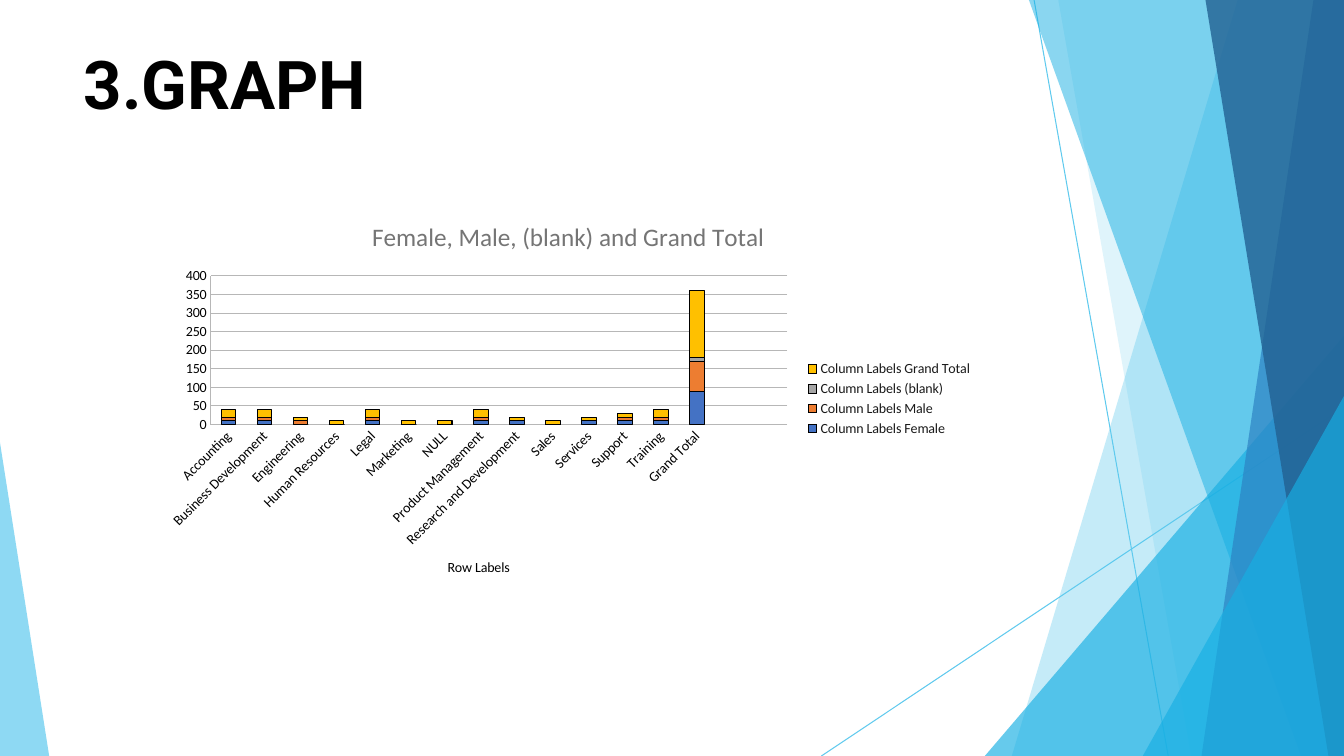
from lxml.etree import SubElement
from pptx import Presentation
from pptx.chart.data import CategoryChartData
from pptx.dml.color import RGBColor
from pptx.enum.chart import XL_CHART_TYPE as ChartType, XL_LEGEND_POSITION as LegendPosition
from pptx.enum.chart import XL_TICK_MARK as TickMark
from pptx.enum.shapes import MSO_CONNECTOR as Connector
from pptx.enum.text import MSO_ANCHOR as Anchor, PP_ALIGN as Align
from pptx.oxml.ns import qn
from pptx.util import Cm, Pt

BLACK = RGBColor(0x00, 0x00, 0x00)
CHARCOAL = RGBColor(0x1A, 0x1A, 0x1A)
TITLE_GREY = RGBColor(0x75, 0x75, 0x75)
GRID_GREY = RGBColor(0xB7, 0xB7, 0xB7)
SKY = RGBColor(0x5F, 0xCA, 0xEE)
CYAN = RGBColor(0x17, 0xAF, 0xE3)
BLUE = RGBColor(0x2D, 0x83, 0xC3)
NAVY = RGBColor(0x22, 0x61, 0x92)
FEMALE_BLUE = RGBColor(0x44, 0x72, 0xC4)
MALE_ORANGE = RGBColor(0xED, 0x7D, 0x31)
BLANK_GREY = RGBColor(0xA5, 0xA5, 0xA5)
TOTAL_YELLOW = RGBColor(0xFF, 0xC0, 0x00)

WIDTH, HEIGHT = 33.87, 19.05
BOTTOM_RIGHT = (WIDTH, HEIGHT)

RAYS = [((26.06, 0), (29.44, HEIGHT)), ((WIDTH, 10.26), (20.7, HEIGHT))]

# Corner points in cm, colour, opacity in percent
FACETS = [
    ([(WIDTH, 0), (31.19, 0), (25.5, HEIGHT), BOTTOM_RIGHT], SKY, 36),
    ([(WIDTH, 0), (26.67, 0), (30.02, HEIGHT), BOTTOM_RIGHT], SKY, 20),
    ([(WIDTH, 8.46), (24.82, HEIGHT), BOTTOM_RIGHT], CYAN, 66),
    ([(WIDTH, 0), (25.93, 0), (32.79, HEIGHT), BOTTOM_RIGHT], CYAN, 50),
    ([(WIDTH, 0), (33.1, 0), (30.28, HEIGHT), BOTTOM_RIGHT], BLUE, 70),
    ([(WIDTH, 0), (30.38, 0), (33.48, HEIGHT), BOTTOM_RIGHT], NAVY, 80),
    ([(WIDTH, 9.98), (28.8, HEIGHT), BOTTOM_RIGHT], CYAN, 66),
    ([(0, 11.15), (0, HEIGHT), (1.24, HEIGHT)], SKY, 70),
]

# The last two categories are empty
DEPARTMENTS = ["Accounting", "Business Development", "Engineering", "Human Resources",
               "Legal", "Marketing", "NULL", "Product Management",
               "Research and Development", "Sales", "Services", "Support",
               "Training", "Grand Total", "", ""]
HEADCOUNTS = [
    ("Female", FEMALE_BLUE, [10, 10, 0, 0, 10, 0, 0, 10, 10, 0, 10, 10, 10, 90]),
    ("Male", MALE_ORANGE, [10, 10, 10, 0, 10, 0, 0, 10, 0, 0, 0, 10, 10, 80]),
    ("(blank)", BLANK_GREY, [0, None, None, 0, 0] + [None] * 6 + [0, 0, 10]),
    ("Grand Total", TOTAL_YELLOW,
     [20, 20, 10, 10, 20, 10, 10, 20, 10, 10, 10, 10, 20, 180]),
]


def set_font(font, color, **values):
    font.color.rgb = color
    for attribute, value in values.items():
        setattr(font, attribute, value)


def set_line(line, color, width=0.75):
    line.color.rgb = color
    line.width = Pt(width)


def add_ray(slide, start, end):
    ray = slide.shapes.add_connector(Connector.STRAIGHT, *map(Cm, start + end))
    set_line(ray.line, SKY)
    SubElement(ray.line._get_or_add_ln().getparent(), qn("a:effectLst"))


def add_facet(slide, corners, color, opacity):
    first, *others = [(Cm(x), Cm(y)) for x, y in corners]
    builder = slide.shapes.build_freeform(*first)
    builder.add_line_segments(others, close=True)
    facet = builder.convert_to_shape()
    facet.shadow.inherit = False
    facet.line.fill.background()
    facet.fill.solid()
    facet.fill.fore_color.rgb = color
    tint = facet.fill._xPr.find(qn("a:solidFill"))[0]
    SubElement(tint, qn("a:alpha"), val=str(opacity * 1000))


def set_title(slide, text):
    title = slide.shapes.title
    place = {"left": Cm(2.11), "top": Cm(1.07), "width": Cm(29.67), "height": Cm(2.11)}
    for attribute, value in place.items():
        setattr(title, attribute, value)
    frame = title.text_frame
    layout = {"text": text, "margin_left": 0, "margin_top": 0, "margin_right": 0,
              "margin_bottom": 0, "vertical_anchor": Anchor.TOP, "word_wrap": True}
    for attribute, value in layout.items():
        setattr(frame, attribute, value)
    paragraph = frame.paragraphs[0]
    paragraph.alignment = Align.LEFT
    set_font(paragraph.runs[0].font, BLACK, name="Roboto", size=Pt(48), bold=True)


def set_chart_text(titled, text, color, size):
    """Give a title to a chart or an axis."""
    frame = titled.text_frame
    frame.text = text
    set_font(frame.paragraphs[0].runs[0].font, color, name="Calibri", size=Pt(size), bold=False)


def format_axis(axis):
    axis.major_tick_mark = axis.minor_tick_mark = TickMark.NONE
    set_font(axis.tick_labels.font, BLACK, name="Calibri", size=Pt(10))
    set_line(axis.format.line, GRID_GREY)


def add_headcount_chart(slide):
    data = CategoryChartData()
    data.categories = DEPARTMENTS
    for group, _, counts in HEADCOUNTS:
        data.add_series(f"Column Labels {group}", counts + [None, None])
    chart = slide.shapes.add_chart(ChartType.COLUMN_STACKED, Cm(3.87), Cm(5.07),
                                   Cm(20.9), Cm(9.96), data).chart
    set_font(chart.font, BLACK, name="Calibri", size=Pt(10))
    set_chart_text(chart.chart_title, "Female, Male, (blank) and Grand Total", TITLE_GREY, 18)

    plot = chart.plots[0]
    plot.gap_width, plot.overlap, plot.vary_by_categories = 150, 100, False
    for series, (_, color, _) in zip(plot.series, HEADCOUNTS):
        series.format.fill.solid()
        series.format.fill.fore_color.rgb = color
        set_line(series.format.line, BLACK)

    departments, counts = chart.category_axis, chart.value_axis
    format_axis(departments)
    format_axis(counts)
    set_chart_text(departments.axis_title, "Row Labels", BLACK, 10)
    label_body = departments._element.find(qn("c:txPr")).find(qn("a:bodyPr"))
    label_body.set("rot", "-2700000")
    counts.minimum_scale, counts.maximum_scale, counts.major_unit = 0, 400, 50
    set_line(counts.major_gridlines.format.line, GRID_GREY)

    chart.has_legend = True
    chart.legend.position = LegendPosition.RIGHT
    chart.legend.include_in_layout = False
    set_font(chart.legend.font, CHARCOAL, name="Calibri", size=Pt(10))


def main():
    deck = Presentation()
    deck.slide_width, deck.slide_height = Cm(WIDTH), Cm(HEIGHT)
    slide = deck.slides.add_slide(deck.slide_layouts.get_by_name("Title Only"))
    for start, end in RAYS:
        add_ray(slide, start, end)
    for corners, color, opacity in FACETS:
        add_facet(slide, corners, color, opacity)
    set_title(slide, "3.GRAPH")
    add_headcount_chart(slide)
    deck.save("out.pptx")


if __name__ == "__main__":
    main()
